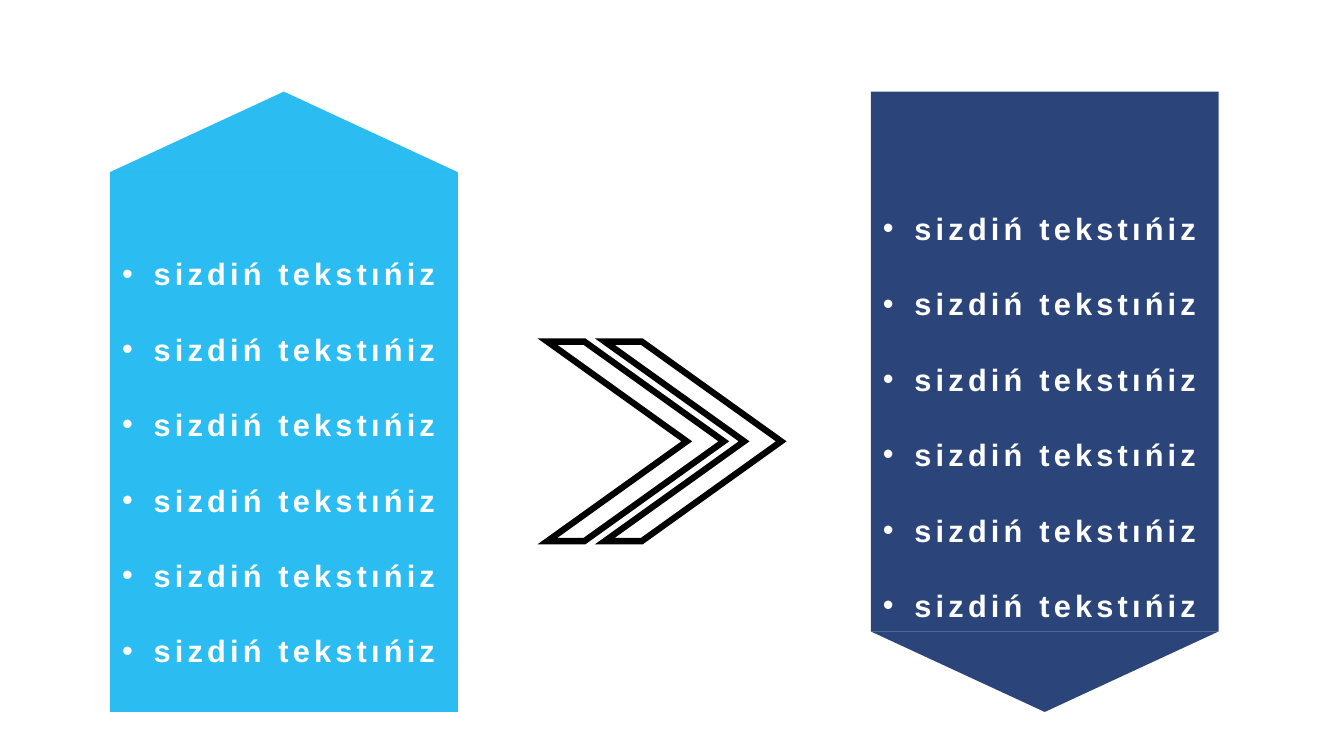
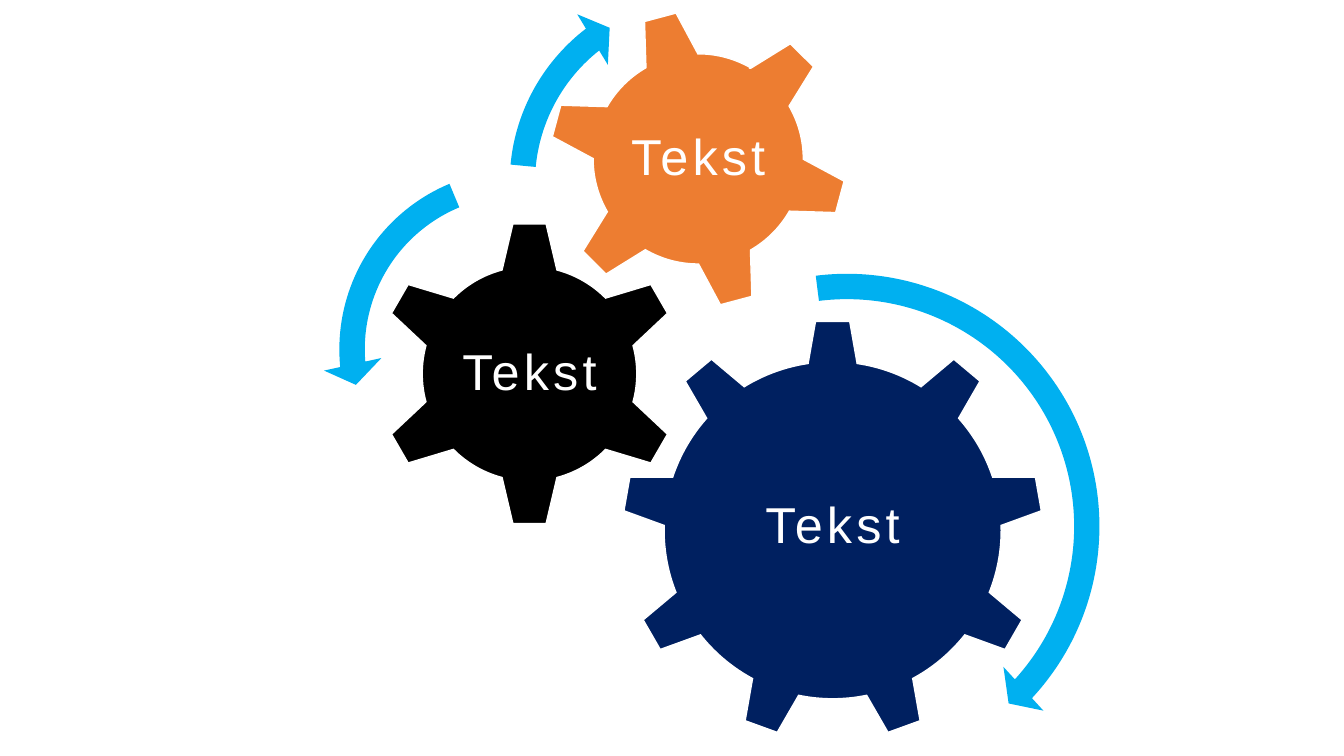
"""Build two slides: facing banner lists, and gears with turning arrows."""
from dataclasses import dataclass
from typing import Optional

from lxml import etree
from pptx import Presentation
from pptx.dml.color import RGBColor
from pptx.enum import shapes, text
from pptx.oxml import ns
from pptx.util import Pt

WHITE = RGBColor(0xFF, 0xFF, 0xFF)
BLACK = RGBColor(0, 0, 0)
SKY = RGBColor(0x00, 0xB0, 0xF0)
NAVY = RGBColor(0x00, 0x20, 0x60)
ORANGE = RGBColor(0xED, 0x7D, 0x31)
FACE = "Arial"
KIND = shapes.MSO_SHAPE
ITEM, COUNT = "sizdiń tekstıńiz", 6
LABEL = "Tekst"


@dataclass(frozen=True)
class Part:
    """A preset shape with its place and look."""
    kind: KIND
    left: float
    top: float
    width: float
    height: float
    fill: RGBColor
    adjust: tuple = ()
    turn: float = 0
    line: Optional[RGBColor] = None
    weight: float = 1
    alpha: int = 100


@dataclass(frozen=True)
class Banner:
    """A pointed panel holding a list."""
    left: float
    fill: RGBColor
    down: bool
    list_top: float


@dataclass(frozen=True)
class Gear:
    """A labelled gear, placed by its centre."""
    kind: KIND
    x: float
    y: float
    size: float
    fill: RGBColor
    turn: float = 0


@dataclass(frozen=True)
class Arrow:
    """A curved arrow in a square frame."""
    kind: KIND
    left: float
    top: float
    size: float
    adjust: tuple
    turn: float = 0


TOP, WIDE, BODY, TIP = 65.5, 248.5, 385.5, 57.5
BANNERS = (
    Banner(78.5, SKY, False, 178.5),
    Banner(622, NAVY, True, 146),
)
CHEVRONS = (391, 432)
GEARS = (
    Gear(KIND.GEAR_9, 594.75, 378.75, 301, NAVY),
    Gear(KIND.GEAR_6, 378.25, 267, 219, BLACK),
    Gear(KIND.GEAR_6, 498.75, 113.5, 214.5, ORANGE, 345),
)
LABELS = ((594.75, 376.25), (378.25, 267), (498.75, 113.5))
ARROWS = (
    Arrow(KIND.CIRCULAR_ARROW, 412.5, 183.5, 385,
          (0.047, 2.99, 25.576, 157.747, 0.055)),
    Arrow(KIND.LEFT_CIRCULAR_ARROW, 230.5, 109.5, 280,
          (0.065, 4.3, 104.891, 148.378, 0.075)),
    Arrow(KIND.CIRCULAR_ARROW, 352, -20, 301.5,
          (0.06, 3.941, 133.138, 105.082, 0.07), 10.3),
)


def add(parent, tag: str, **attrs: str):
    """Append a DrawingML element."""
    return etree.SubElement(parent, ns.qn(tag), attrs)


def draw(tree, part: Part) -> None:
    """Draw one preset shape."""
    shape = tree.add_shape(part.kind, Pt(part.left), Pt(part.top),
                           Pt(part.width), Pt(part.height))
    shape.shadow.inherit = False
    shape.rotation = part.turn
    for index, value in enumerate(part.adjust):
        shape.adjustments[index] = value
    shape.fill.solid()
    shape.fill.fore_color.rgb = part.fill
    if part.alpha < 100:
        color = shape._element.spPr.find(ns.qn("a:solidFill"))[0]
        add(color, "a:alpha", val=str(part.alpha * 1000))
    if part.line is None:
        shape.line.fill.background()
        return
    shape.line.color.rgb = part.line
    shape.line.width = Pt(part.weight)
    add(shape._element.spPr.find(ns.qn("a:ln")), "a:miter", lim="800000")


def style(para, size: float, bold: bool = False) -> None:
    """Set white, widely spaced lettering on a paragraph."""
    font = para.font
    font.name, font.size, font.bold = FACE, Pt(size), bold
    font.color.rgb = WHITE
    para._p.pPr.find(ns.qn("a:defRPr")).set("spc", "300")


def draw_banner(tree, banner: Banner) -> None:
    """Draw a panel and its point as one group."""
    group = tree.add_group_shape().shapes
    body = TOP if banner.down else TOP + TIP
    tip = TOP + BODY if banner.down else TOP
    turn = 180 if banner.down else 0
    draw(group, Part(KIND.RECTANGLE, banner.left, body, WIDE, BODY,
                     banner.fill, turn=turn, alpha=83))
    draw(group, Part(KIND.TRAPEZOID, banner.left, tip, WIDE, TIP,
                     banner.fill, (2.16,), turn, alpha=83))


def fill_list(holder, banner: Banner) -> None:
    """Place a body placeholder over its panel and fill it."""
    holder.left, holder.top = Pt(banner.left + 1.5), Pt(banner.list_top)
    holder.width, holder.height = Pt(245), Pt(300)
    frame = holder.text_frame
    frame.auto_size = text.MSO_AUTO_SIZE.NONE
    frame.text = "\n".join([ITEM] * COUNT)
    for index, para in enumerate(frame.paragraphs):
        props = para._p.get_or_add_pPr()
        props.set("marL", str(Pt(22.5)))
        props.set("indent", str(Pt(-22.5)))
        add(props, "a:buFont", typeface=FACE)
        add(props, "a:buChar", char="•")
        para.space_before = Pt(27.5 if index else 0)
        style(para, 22, True)


def draw_label(tree, x: float, y: float) -> None:
    """Write a label centred on a point."""
    wide, high = 120, 60
    box = tree.add_textbox(Pt(x - wide / 2), Pt(y - high / 2),
                           Pt(wide), Pt(high))
    frame = box.text_frame
    frame.word_wrap = True
    frame.vertical_anchor = text.MSO_ANCHOR.MIDDLE
    frame.margin_left = frame.margin_right = Pt(3.6)
    para = frame.paragraphs[0]
    para.text = LABEL
    para.alignment = text.PP_ALIGN.CENTER
    para.line_spacing = 0.9
    style(para, 36)


def build_lists(deck) -> None:
    """Build the slide with two banners and the chevrons."""
    slide = deck.slides.add_slide(deck.slide_layouts[3])
    title, *holders = slide.placeholders
    title._element.getparent().remove(title._element)
    tree = slide.shapes
    group = tree.add_group_shape().shapes
    for left in CHEVRONS:
        draw(group, Part(KIND.CHEVRON, left, 244, 126, 142.5, WHITE,
                         (0.79,), line=BLACK, weight=4.5))
    for banner, holder in zip(BANNERS, holders):
        draw_banner(tree, banner)
        fill_list(holder, banner)
        tree._spTree.append(holder._element)


def build_gears(deck) -> None:
    """Build the slide with gears and curved arrows."""
    tree = deck.slides.add_slide(deck.slide_layouts[6]).shapes
    for gear, spot in zip(GEARS, LABELS):
        half = gear.size / 2
        draw(tree, Part(gear.kind, gear.x - half, gear.y - half, gear.size,
                        gear.size, gear.fill, turn=gear.turn, line=WHITE))
        draw_label(tree, *spot)
    for arrow in ARROWS:
        draw(tree, Part(arrow.kind, arrow.left, arrow.top, arrow.size,
                        arrow.size, SKY, arrow.adjust, arrow.turn))


def main() -> None:
    """Build and save the deck."""
    deck = Presentation()
    deck.slide_width, deck.slide_height = Pt(960), Pt(540)
    build_lists(deck)
    build_gears(deck)
    deck.save("out.pptx")


if __name__ == "__main__":
    main()
